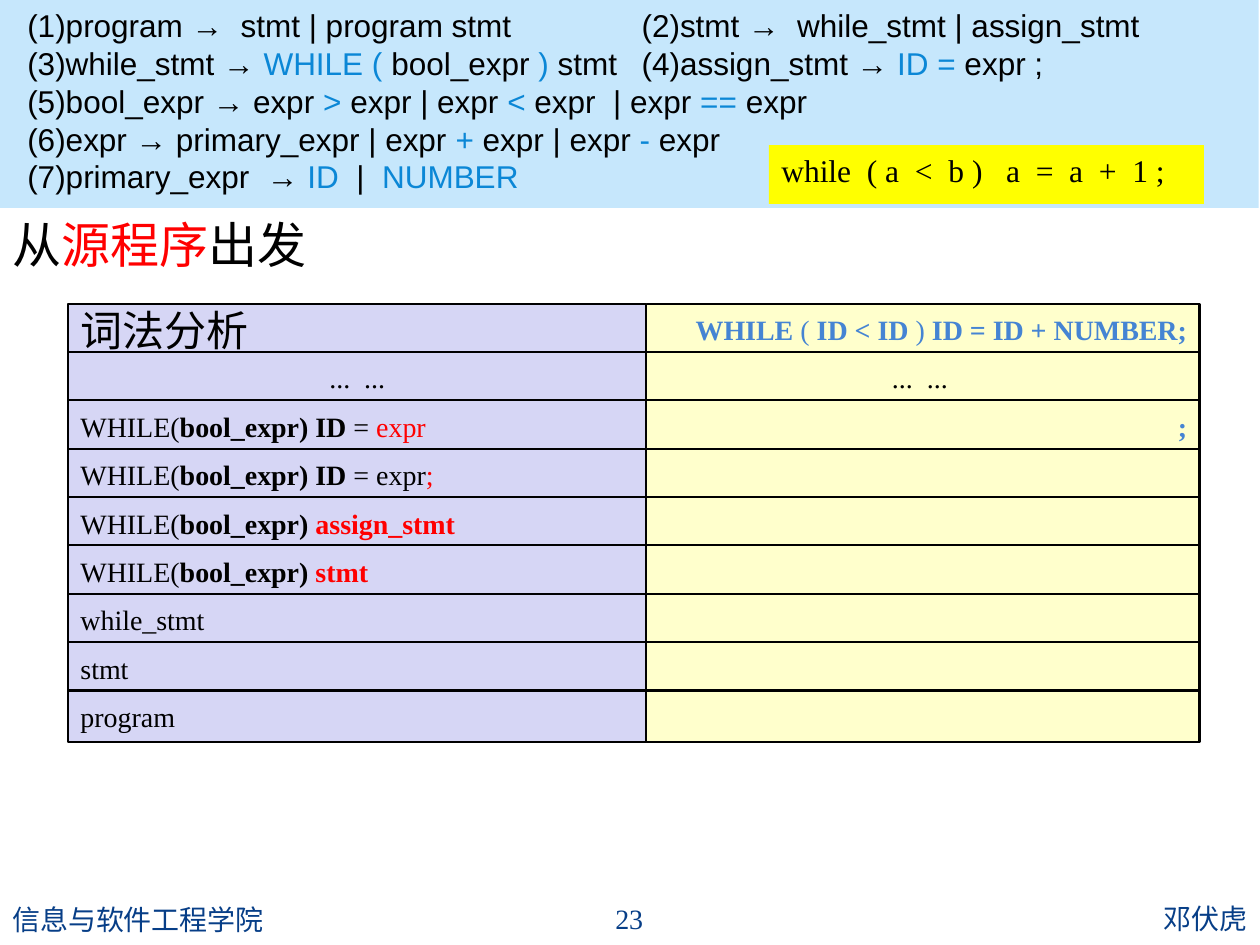
from dataclasses import dataclass

from lxml.etree import SubElement
from pptx import Presentation
from pptx.dml.color import RGBColor
from pptx.enum.shapes import MSO_SHAPE
from pptx.enum.text import MSO_ANCHOR, PP_ALIGN
from pptx.oxml.ns import qn
from pptx.util import Pt


@dataclass(frozen=True)
class Theme:
    black: str = "000000"
    red: str = "FF0000"
    terminal: str = "0B87D6"
    token: str = "4584D3"
    footer: str = "073E87"
    grammar_fill: str = "C6E7FC"
    code_fill: str = "FFFF00"
    stack_fill: str = "D6D6F5"
    input_fill: str = "FFFFCC"
    serif: str = "Times New Roman"
    sans: str = "Arial"
    plain: str = "Calibri"
    chinese: str = "Noto Sans CJK SC"
    body: int = 16
    code: int = 18
    step: int = 24
    heading: int = 28


THEME = Theme()
LEFT, CENTER, RIGHT = PP_ALIGN.LEFT, PP_ALIGN.CENTER, PP_ALIGN.RIGHT

GRAMMAR_TAB = 351
TABLE_TOP, ROW_PITCH, ROW_HEIGHT = 173.5, 27.63, 29.5
STACK_LEFT, STACK_WIDTH = 38.9, 330.5
INPUT_LEFT, INPUT_WIDTH = 365.8, 319.7


def terminal(text):
    return text, THEME.terminal, None


def red(text, bold=None):
    return text, THEME.red, bold


def bold(text):
    return text, None, True


GRAMMAR = [
    ["(1)program →  stmt | program stmt\t(2)stmt →  while_stmt | assign_stmt"],
    ["(3)while_stmt → ", terminal("WHILE ("), " bool_expr ", terminal(") "),
     "stmt\t(4)assign_stmt → ", terminal("ID ="), " expr ;"],
    ["(5)bool_expr → expr ", terminal(">"), " expr | expr ", terminal("<"),
     " expr  | expr ", terminal("=="), " expr"],
    ["(6)expr → primary_expr | expr ", terminal("+"), " expr | expr ",
     terminal("-"), " expr"],
    ["(7)primary_expr  → ", terminal("ID"), "  |  ", terminal("NUMBER")],
]

# Each row: stack spans, input spans, and whether both are a centred ellipsis.
LOOP_HEAD = ["WHILE(", bold("bool_expr) ")]
ASSIGN_HEAD = ["WHILE(", bold("bool_expr) ID ")]
ELLIPSIS = ["...  ..."]
ROWS = [
    (["词法分析"], [bold("WHILE"), " ( ", bold("ID < ID "), ") ",
                bold("ID = ID + NUMBER;")]),
    (ELLIPSIS, ELLIPSIS),
    (ASSIGN_HEAD + ["= ", red("expr")], [bold(";")]),
    (ASSIGN_HEAD + ["= expr", red(";")], []),
    (LOOP_HEAD + [red("assign_stmt", True)], []),
    (LOOP_HEAD + [red("stmt", True)], []),
    (["while_stmt"], []),
    (["stmt"], []),
    (["program"], []),
]


def color(code):
    return RGBColor.from_string(code)


def write(para, spans, font, size, ink=THEME.black, align=LEFT):
    """Fill a paragraph with plain strings or (text, colour, bold) spans."""
    para.alignment = align
    para.font.name = font
    para.font.size = Pt(size)
    para.font.color.rgb = color(ink)
    for item in spans:
        text, span_ink, is_bold = (item, None, None) if isinstance(item, str) else item
        span = para.add_run()
        span.text = text
        if span_ink:
            span.font.color.rgb = color(span_ink)
        if is_bold:
            span.font.bold = True


def add_label(page, place, spans, font, size, ink=THEME.black, align=LEFT,
              anchor=MSO_ANCHOR.MIDDLE):
    box = page.shapes.add_textbox(*map(Pt, place))
    frame = box.text_frame
    frame.word_wrap = True
    frame.vertical_anchor = anchor
    write(frame.paragraphs[0], spans, font, size, ink, align)


def add_panel(page, place, fill, outlined=False, anchor=MSO_ANCHOR.TOP):
    panel = page.shapes.add_shape(MSO_SHAPE.RECTANGLE, *map(Pt, place))
    panel.shadow.inherit = False
    panel.fill.solid()
    panel.fill.fore_color.rgb = color(fill)
    if outlined:
        panel.line.color.rgb = color(THEME.black)
        panel.line.width = Pt(1.25)
    else:
        panel.line.fill.background()
    panel.text_frame.vertical_anchor = anchor
    return panel


def add_tab_stop(para, position):
    stops = SubElement(para._p.get_or_add_pPr(), qn("a:tabLst"))
    SubElement(stops, qn("a:tab"), pos=str(Pt(position)), algn="l")


def add_grammar(page):
    frame = add_panel(page, (0, 0, 719.3, 118.8), THEME.grammar_fill).text_frame
    frame.margin_left = Pt(15.6)
    for number, spans in enumerate(GRAMMAR):
        para = frame.add_paragraph() if number else frame.paragraphs[0]
        add_tab_stop(para, GRAMMAR_TAB)
        write(para, spans, THEME.sans, THEME.code)


def add_source_code(page):
    frame = add_panel(page, (439.4, 83, 248.6, 33.6), THEME.code_fill).text_frame
    frame.word_wrap = False
    frame.margin_top = Pt(5)
    para = frame.paragraphs[0]
    para.line_spacing = 0.95
    write(para, ["while  ( a  <  b )   a  =  a  +  1 ;"], THEME.serif, THEME.code)


def add_cell(page, place, fill, spans, font, size, ink, align):
    cell = add_panel(page, place, fill, True, MSO_ANCHOR.MIDDLE)
    if spans:
        write(cell.text_frame.paragraphs[0], spans, font, size, ink, align)


def add_parse_steps(page):
    for row, (stack, remaining) in enumerate(ROWS):
        top = TABLE_TOP + row * ROW_PITCH
        skipped = stack is ELLIPSIS
        font, size = (THEME.serif, THEME.body) if row else (THEME.chinese, THEME.step)
        add_cell(page, (INPUT_LEFT, top, INPUT_WIDTH, ROW_HEIGHT), THEME.input_fill,
                 remaining, THEME.serif, THEME.body,
                 THEME.black if skipped else THEME.token, CENTER if skipped else RIGHT)
        add_cell(page, (STACK_LEFT, top, STACK_WIDTH, ROW_HEIGHT), THEME.stack_fill,
                 stack, font, size, THEME.black, CENTER if skipped else LEFT)


def add_footer(page):
    for place, text, font, align in [
        ((421.9, 510.5, 298.1, 28.8), "邓伏虎", THEME.plain, RIGHT),
        ((0, 511.2, 298.1, 28.8), "信息与软件工程学院", THEME.plain, LEFT),
        ((313.9, 510.5, 91.4, 28.8), "23", THEME.serif, CENTER),
    ]:
        add_label(page, place, [text], font, THEME.body, THEME.footer, align)


def main():
    deck = Presentation()
    deck.slide_width, deck.slide_height = Pt(720), Pt(540)
    page = deck.slides.add_slide(deck.slide_layouts[6])
    add_footer(page)
    add_grammar(page)
    add_source_code(page)
    add_label(page, (0, 118.8, 294.5, 46.8), ["从", red("源程序"), "出发"],
              THEME.plain, THEME.heading, anchor=MSO_ANCHOR.TOP)
    add_parse_steps(page)
    deck.save("out.pptx")


if __name__ == "__main__":
    main()
